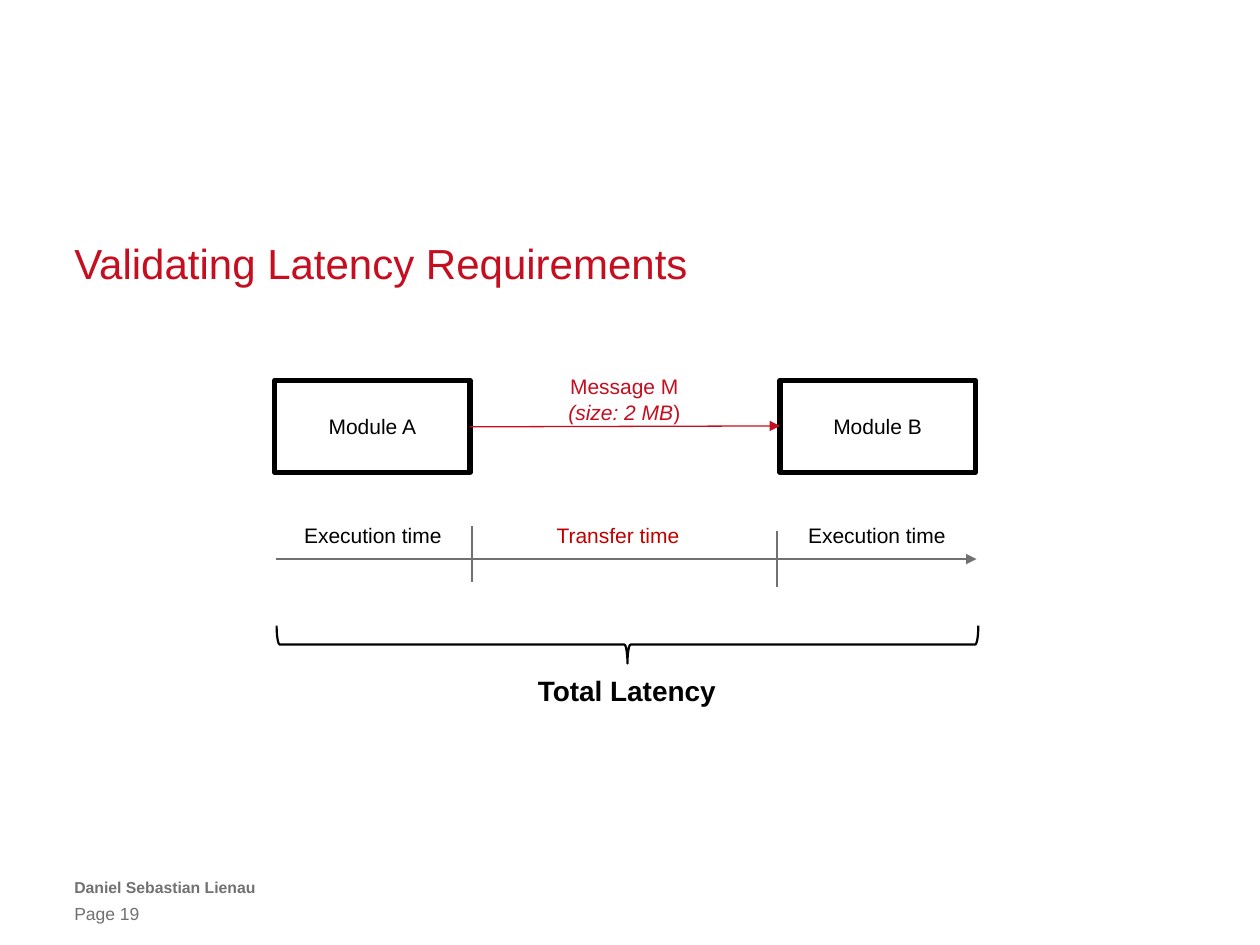
from lxml.etree import SubElement
from pptx import Presentation
from pptx.dml.color import RGBColor
from pptx.enum.shapes import MSO_CONNECTOR, MSO_SHAPE
from pptx.enum.text import MSO_ANCHOR, MSO_AUTO_SIZE, PP_ALIGN
from pptx.oxml.ns import qn
from pptx.util import Pt

FONT = "Arial"
RED = RGBColor(0xC5, 0x0E, 0x1F)
DARK_RED = RGBColor(0xC0, 0x00, 0x00)
GRAY = RGBColor(0x71, 0x71, 0x71)
BLACK = RGBColor(0x00, 0x00, 0x00)
WHITE = RGBColor(0xFF, 0xFF, 0xFF)
MARGIN = 42.5


def style_text(frame, size, color, bold=False, align=None):
    for para in frame.paragraphs:
        if align is not None:
            para.alignment = align
        for run in para.runs:
            font = run.font
            font.name, font.size, font.bold = FONT, Pt(size), bold
            font.color.rgb = color


def clear_insets(frame):
    frame.margin_left = frame.margin_right = 0
    frame.margin_top = frame.margin_bottom = 0


def add_title(page, text):
    title = page.shapes.title
    title.left, title.top = Pt(MARGIN), Pt(136.8)
    title.width, title.height = Pt(635), Pt(28)
    frame = title.text_frame
    frame.text = text
    frame.auto_size = MSO_AUTO_SIZE.NONE
    frame.vertical_anchor = MSO_ANCHOR.BOTTOM
    clear_insets(frame)
    frame.paragraphs[0].line_spacing = Pt(30)
    style_text(frame, 24, RED, align=PP_ALIGN.LEFT)


def add_footer(page, text, top, size, bold=False):
    box = page.shapes.add_textbox(Pt(MARGIN), Pt(top), Pt(540), Pt(14))
    frame = box.text_frame
    frame.text = text
    frame.word_wrap = True
    clear_insets(frame)
    style_text(frame, size, GRAY, bold)


def add_label(page, text, left, top, width, height, color=BLACK, size=12, bold=False):
    box = page.shapes.add_textbox(Pt(left), Pt(top), Pt(width), Pt(height))
    frame = box.text_frame
    frame.text = text
    frame.word_wrap = False
    frame.auto_size = MSO_AUTO_SIZE.SHAPE_TO_FIT_TEXT
    style_text(frame, size, color, bold, PP_ALIGN.CENTER)
    return frame


def add_outlined(page, kind, left, top, width, height, line_width):
    shape = page.shapes.add_shape(kind, Pt(left), Pt(top), Pt(width), Pt(height))
    shape.shadow.inherit = False
    shape.fill.solid()
    shape.fill.fore_color.rgb = WHITE
    shape.line.color.rgb = BLACK
    shape.line.width = Pt(line_width)
    return shape


def add_module(page, name, left):
    module = add_outlined(page, MSO_SHAPE.RECTANGLE, left, 217.4, 111.6, 52.6, 3)
    frame = module.text_frame
    frame.text = name
    frame.vertical_anchor = MSO_ANCHOR.MIDDLE
    style_text(frame, 12, BLACK, align=PP_ALIGN.CENTER)


def add_line(page, start, end, color, arrow=False):
    line = page.shapes.add_connector(
        MSO_CONNECTOR.STRAIGHT, *(Pt(value) for value in (*start, *end)))
    line.line.color.rgb = color
    line.line.width = Pt(0.75)
    properties = line._element.spPr
    if arrow:
        SubElement(properties.find(qn("a:ln")), qn("a:tailEnd"), type="triangle")
    SubElement(properties, qn("a:effectLst"))


def main():
    deck = Presentation()
    deck.slide_width, deck.slide_height = Pt(720), Pt(540)
    page = deck.slides.add_slide(deck.slide_layouts[5])

    add_title(page, "Validating Latency Requirements")
    add_footer(page, "Daniel Sebastian Lienau", 501.8, 9, bold=True)
    add_footer(page, "Page 19", 516.2, 10)

    add_module(page, "Module A", 157)
    add_module(page, "Module B", 445.7)
    add_line(page, (268.6, 243.9), (445.7, 243.4), RED, arrow=True)
    message = add_label(page, "Message M\n(size: 2 MB", 317.2, 210.2, 79.2, 36, RED)
    message.paragraphs[1].runs[0].font.italic = True
    message.paragraphs[1].add_run().text = ")"
    style_text(message, 12, RED)

    for text, left, width, color in (
        ("Execution time", 166.3, 93.6, BLACK),
        ("Transfer time", 310.3, 85.7, DARK_RED),
        ("Execution time", 454.3, 93.6, BLACK),
    ):
        add_label(page, text, left, 294.8, width, 21.8, color)
    add_line(page, (157.7, 319.5), (558, 319.5), GRAY, arrow=True)
    for x, top in ((269.8, 300.4), (444.1, 303.2)):
        add_line(page, (x, top + 32.2), (x, top), GRAY)

    brace = add_outlined(page, MSO_SHAPE.LEFT_BRACE, 347.8, 167.8, 21.6, 401, 1.25)
    brace.rotation = 270
    add_label(page, "Total Latency", 299.5, 381.6, 117.4, 26.6, size=16, bold=True)

    deck.save("out.pptx")


if __name__ == "__main__":
    main()
